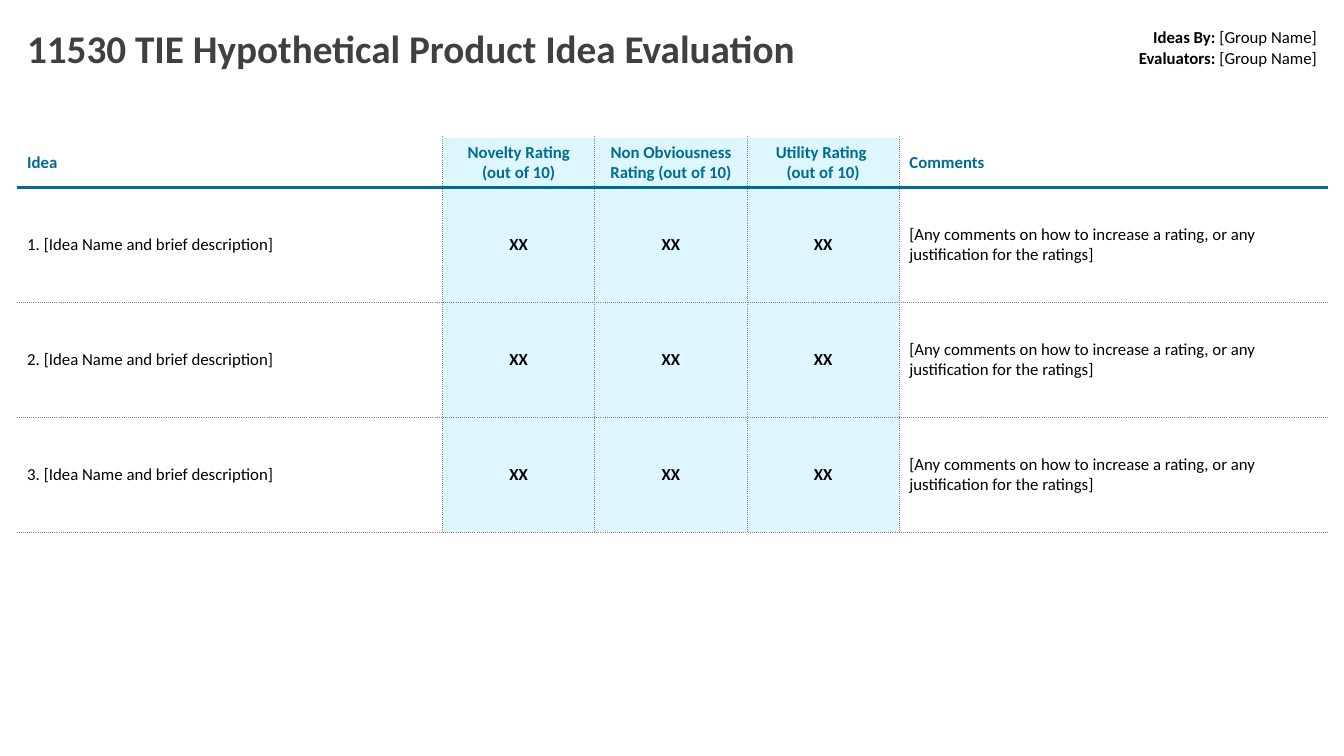
from dataclasses import dataclass

from lxml import etree
from pptx import Presentation
from pptx import util as u
from pptx.dml.color import RGBColor
from pptx.enum import text
from pptx.oxml import ns

PX = 9144  # EMU per px, 100 px to the inch
LEFT, CENTER, RIGHT = text.PP_ALIGN.LEFT, text.PP_ALIGN.CENTER, text.PP_ALIGN.RIGHT


@dataclass(frozen=True)
class Theme:
    font: str = "Calibri"
    title_size: int = 28
    body_size: int = 12
    title: str = "404040"
    ink: str = "000000"
    accent: str = "006C91"
    tint: str = "DDF6FF"
    # Cell borders: colour, width in points, dash
    dotted: tuple = ("808080", 0.75, "sysDot")
    blank: tuple = ("FFFFFF", 1, "solid")
    rule: tuple = ("006C91", 3, "solid")


class Deck:
    def __init__(self, theme, width, height):
        self.theme = theme
        self.prs = Presentation()
        self.prs.slide_width, self.prs.slide_height = width * PX, height * PX
        self.s = self.prs.slides.add_slide(self.prs.slide_layouts[6])

    def set_lines(self, tf, lines, size, color, align):
        """Fill a text frame; each line is a list of (wording, bold) runs."""
        tf.word_wrap = True
        for i, line in enumerate(lines):
            p = tf.paragraphs[0] if i == 0 else tf.add_paragraph()
            p.alignment = align
            for wording, bold in line:
                r = p.add_run()
                r.text = wording
                r.font.name, r.font.size, r.font.bold = self.theme.font, u.Pt(size), bold
                r.font.color.rgb = RGBColor.from_string(color)

    def text_box(self, x, y, w, h, lines, size, color, align=LEFT):
        sp = self.s.shapes.add_textbox(x * PX, y * PX, w * PX, h * PX)
        sp.text_frame.vertical_anchor = text.MSO_ANCHOR.MIDDLE
        self.set_lines(sp.text_frame, lines, size, color, align)

    def border(self, cell, side, style):
        color, width, dash = style
        ln = etree.SubElement(cell._tc.get_or_add_tcPr(), ns.qn(f"a:ln{side}"), w=str(u.Pt(width)))
        fill = etree.SubElement(ln, ns.qn("a:solidFill"))
        etree.SubElement(fill, ns.qn("a:srgbClr"), val=color)
        etree.SubElement(ln, ns.qn("a:prstDash"), val=dash)

    def table(self, x, y, widths, heights, rows):
        """Header row over body rows; the columns between the outer two are tinted."""
        t = self.theme
        table = self.s.shapes.add_table(
            len(heights), len(widths), x * PX, y * PX, sum(widths) * PX, sum(heights) * PX).table
        table.first_row = table.horz_banding = False
        for column, width in zip(table.columns, widths):
            column.width = width * PX
        for row, height in zip(table.rows, heights):
            row.height = height * PX

        last = len(widths) - 1
        for i, row in enumerate(rows):
            for j, wording in enumerate(row):
                cell = table.cell(i, j)
                cell.vertical_anchor = text.MSO_ANCHOR.MIDDLE
                header, rating = i == 0, 0 < j < last
                lines = [[(line, header or rating)] for line in wording.split("\n")]
                self.set_lines(cell.text_frame, lines, t.body_size,
                               t.accent if header else t.ink, CENTER if rating else LEFT)

                self.border(cell, "L", t.blank if j == 0 else t.dotted)
                self.border(cell, "R", t.blank if j == last else t.dotted)
                self.border(cell, "T", (t.blank, t.rule, t.dotted)[min(i, 2)])
                self.border(cell, "B", t.rule if header else t.dotted)
                if rating:
                    cell.fill.solid()
                    cell.fill.fore_color.rgb = RGBColor.from_string(t.tint)
                else:
                    cell.fill.background()


def main():
    theme = Theme()
    deck = Deck(theme, 1333, 750)

    # Title and group names
    deck.text_box(17, 17, 1044, 60, [[("11530 TIE Hypothetical Product Idea Evaluation", True)]],
                  theme.title_size, theme.title)
    deck.text_box(1061, 17, 255, 60,
                  [[("Ideas By: ", True), ("[Group Name]", False)],
                   [("Evaluators:", True), (" [Group Name]", False)]],
                  theme.body_size, theme.ink, RIGHT)

    # Evaluation table
    header = ["Idea", "Novelty Rating (out of 10)", "Non Obviousness Rating (out of 10)",
              "Utility Rating \n(out of 10)", "Comments"]
    comment = "[Any comments on how to increase a rating, or any justification for the ratings]"
    ideas = [[f"{n}. [Idea Name and brief description]", "XX", "XX", "XX", comment]
             for n in range(1, 4)]
    deck.table(17, 136, [422] + [151] * 3 + [425], [50] + [114] * 3, [header] + ideas)

    deck.prs.save("out.pptx")


if __name__ == "__main__":
    main()
